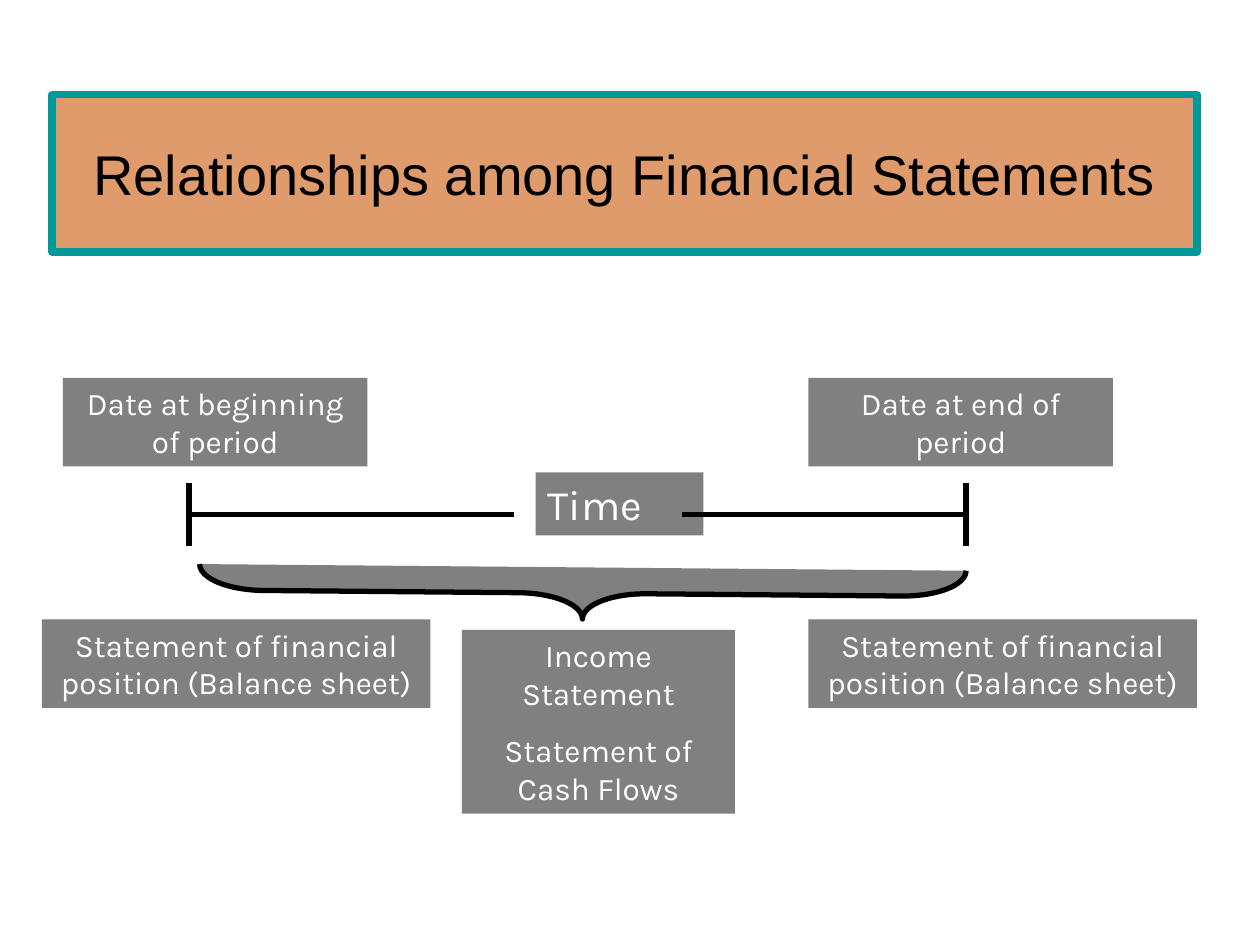
from dataclasses import dataclass
from lxml.etree import SubElement
from pptx import Presentation
from pptx.dml.color import RGBColor
from pptx.enum.shapes import MSO_CONNECTOR, MSO_SHAPE
from pptx.enum.text import MSO_ANCHOR, PP_ALIGN
from pptx.oxml.ns import qn
from pptx.util import Pt


@dataclass(frozen=True)
class Theme:
    """Hold the colours, fonts and sizes of the slide."""
    ink: RGBColor = RGBColor(0, 0, 0)
    pale: RGBColor = RGBColor(255, 255, 255)
    gray: RGBColor = RGBColor(128, 128, 128)
    peach: RGBColor = RGBColor(0xE0, 0x9B, 0x6C)
    teal: RGBColor = RGBColor(0, 0x99, 0x99)
    head: str = "Arial"
    body: str = "Karla"
    title: int = 32
    time: int = 24
    label: int = 18
    gap: float = 11.2
    edge: float = 4.5
    rule: float = 3


THEME = Theme()


def add_box(slide, box, kind, fill):
    """Add a plain filled shape with no line or shadow."""
    shape = slide.shapes.add_shape(kind, *map(Pt, box))
    shape.shadow.inherit = False
    shape.fill.solid()
    shape.fill.fore_color.rgb = fill
    shape.line.fill.background()
    return shape


def set_line(line, color, width):
    """Set the colour and width of a line."""
    line.color.rgb = color
    line.width = Pt(width)


def set_text(shape, lines, face, size, color, align=PP_ALIGN.CENTER):
    """Write one paragraph for each line of text."""
    frame = shape.text_frame
    frame.word_wrap = True
    frame.text = "\n".join(lines)
    for i, para in enumerate(frame.paragraphs):
        para.alignment = align
        para.font.name = face
        para.font.size = Pt(size)
        para.font.color.rgb = color
        if i:
            para.space_before = Pt(THEME.gap)


def add_title(slide, box, text):
    """Place the framed title."""
    shape = add_box(slide, box, MSO_SHAPE.RECTANGLE, THEME.peach)
    set_line(shape.line, THEME.teal, THEME.edge)
    set_text(shape, [text], THEME.head, THEME.title, THEME.ink)
    shape.text_frame.vertical_anchor = MSO_ANCHOR.MIDDLE


def add_label(slide, box, lines, size=THEME.label, align=PP_ALIGN.CENTER):
    """Place a gray label with text from the top."""
    shape = add_box(slide, box, MSO_SHAPE.RECTANGLE, THEME.gray)
    shape.text_frame.vertical_anchor = MSO_ANCHOR.TOP
    set_text(shape, lines, THEME.body, size, THEME.pale, align)


def add_rule(slide, *ends):
    """Draw one straight rule from x, y to x, y."""
    rule = slide.shapes.add_connector(MSO_CONNECTOR.STRAIGHT, *map(Pt, ends))
    set_line(rule.line, THEME.ink, THEME.rule)
    SubElement(rule._element.spPr, qn("a:effectLst"))


def add_axis(slide, box):
    """Draw the time line with its label and end ticks."""
    left, top, width, height = box
    right, mid = left + width, top + height / 2
    add_rule(slide, left, mid, left + 186, mid)
    add_label(slide, (left + 198, top - 6, 96, 36), ["Time"],
              THEME.time, PP_ALIGN.LEFT)
    add_rule(slide, right - 162, mid, right, mid)
    for x in (left, right):
        add_rule(slide, x, top, x, top + height)


def add_brace(slide, box):
    """Draw a brace that spans the box and points down."""
    left, top, width, height = box
    x, y = left + (width - height) / 2, top + (height - width) / 2
    brace = add_box(slide, (x, y, height, width),
                    MSO_SHAPE.LEFT_BRACE, THEME.gray)
    brace.rotation = 270.5
    brace.adjustments[0] = 1.24
    brace.adjustments[1] = 0.5
    set_line(brace.line, THEME.ink, THEME.rule)


def add_pair(slide, box, width, texts):
    """Place two equal labels, one at each end of the box."""
    left, top, span, height = box
    for x, text in zip((left, left + span - width), texts):
        add_label(slide, (x, top, width, height), [text])


def main():
    """Build and save the slide."""
    deck = Presentation()
    deck.slide_width, deck.slide_height = Pt(720), Pt(540)
    slide = deck.slides.add_slide(deck.slide_layouts[6])
    add_title(slide, (30, 54, 654, 90),
              "Relationships among Financial Statements")
    add_axis(slide, (108, 276, 444, 36))
    add_pair(slide, (36, 216, 600, 50.5), 174,
             ("Date at beginning of period", "Date at end of period"))
    add_pair(slide, (24, 354, 660, 50.5), 222,
             ("Statement of financial position (Balance sheet)",) * 2)
    add_label(slide, (264, 360, 156, 105),
              ["Income Statement", "Statement of Cash Flows"])
    add_brace(slide, (114, 324.25, 438, 29.5))
    deck.save("out.pptx")


if __name__ == "__main__":
    main()
